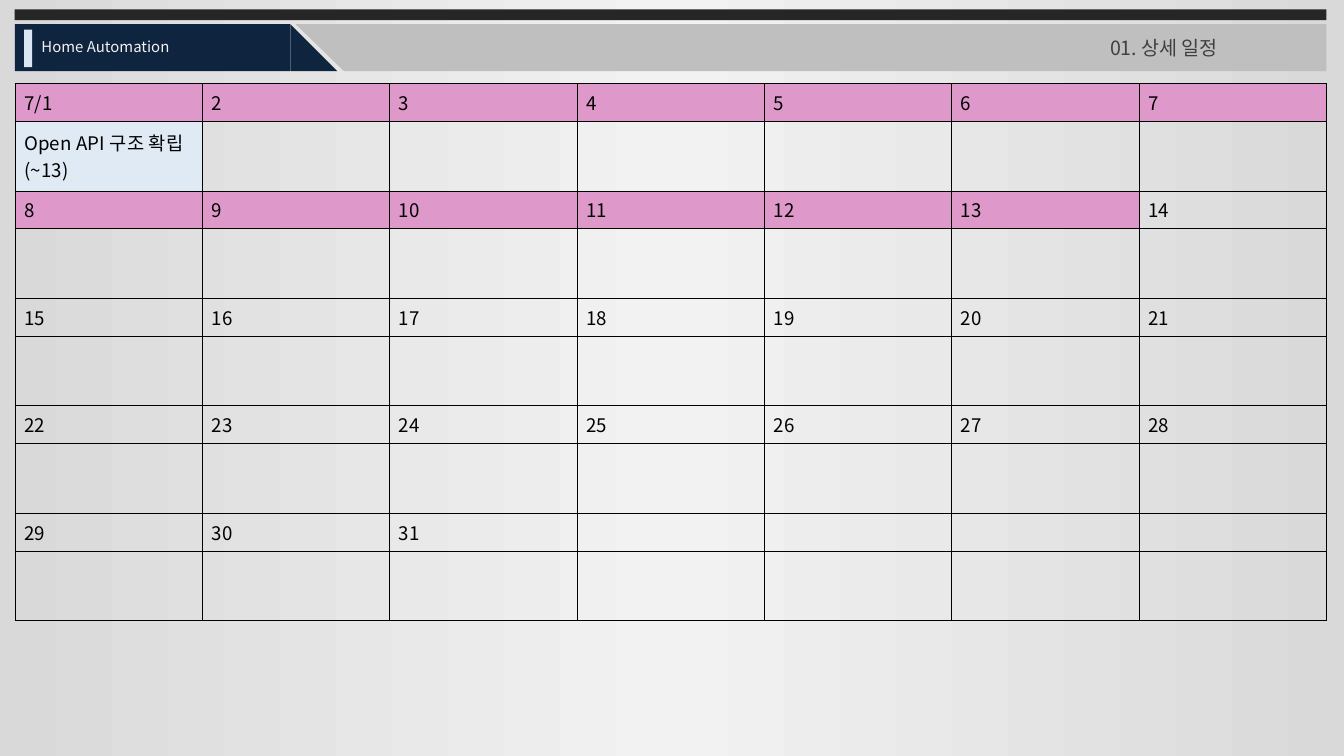
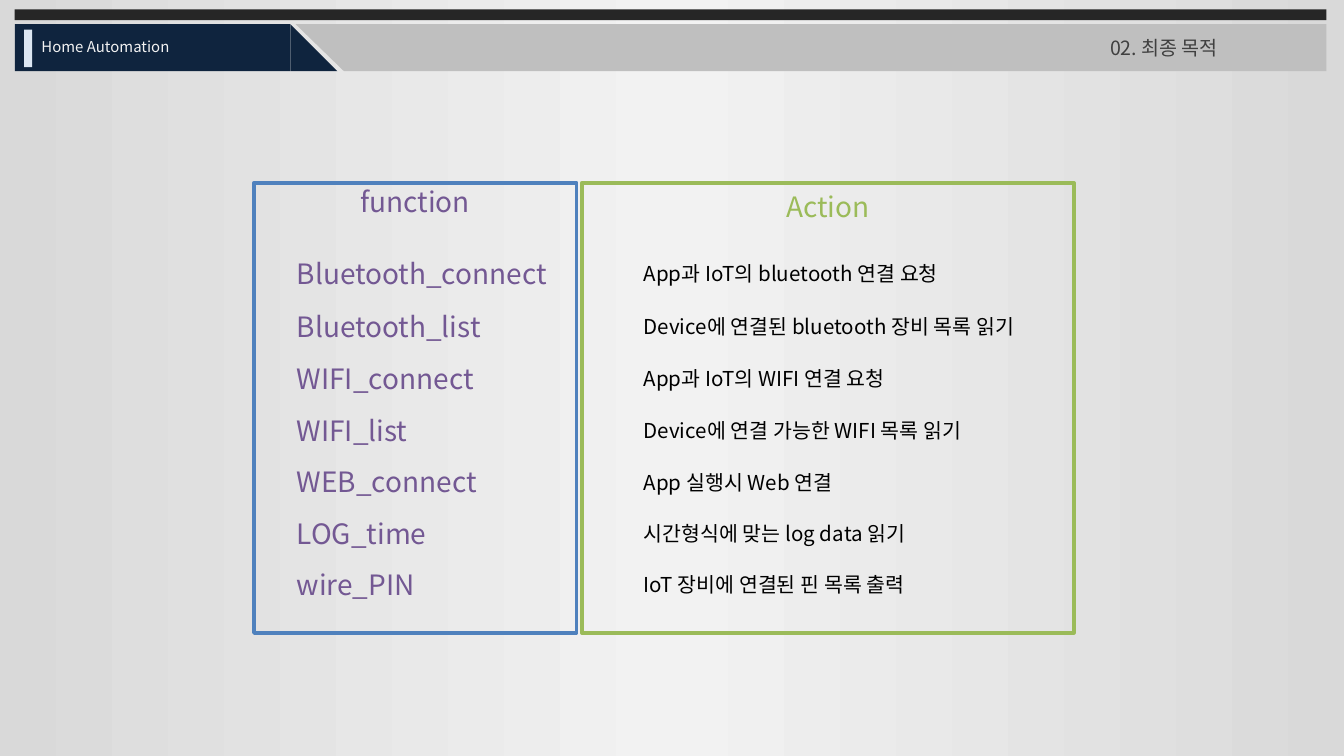
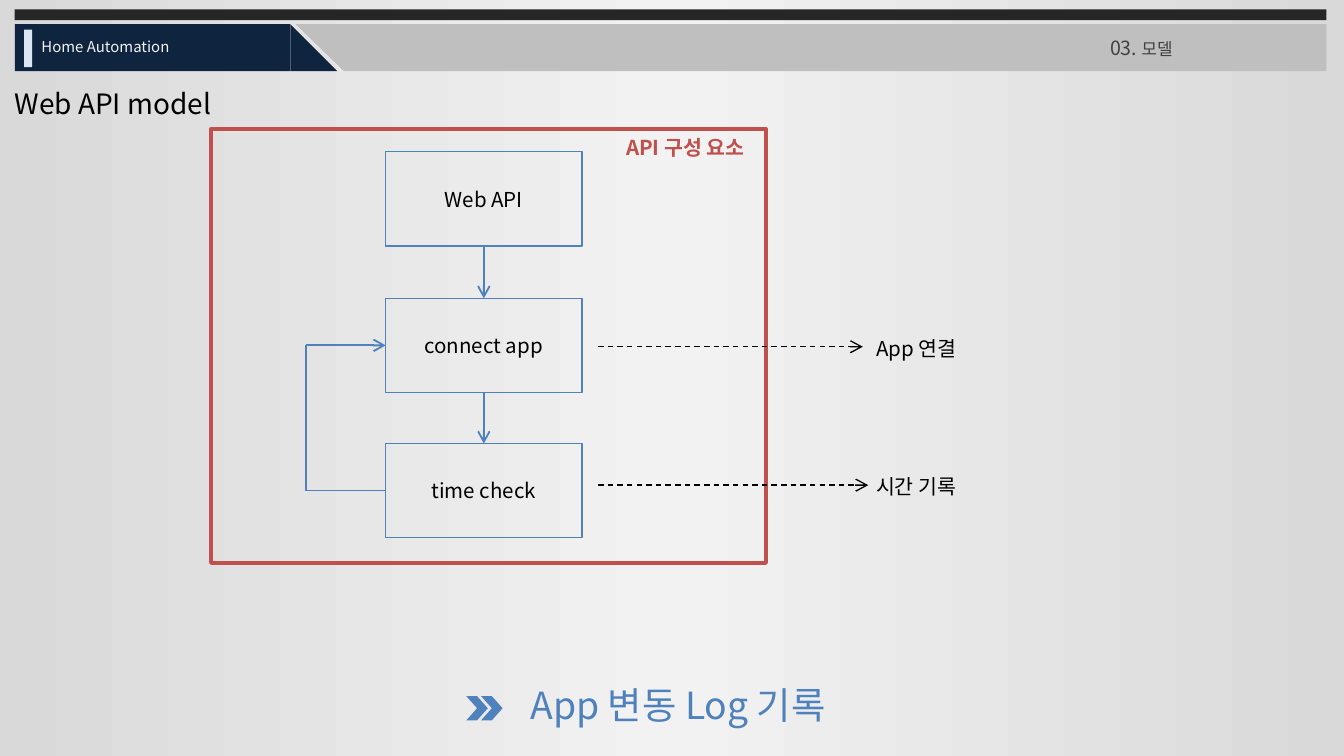
from typing import NamedTuple

from lxml import etree
from pptx import Presentation
from pptx import util as u
from pptx.dml.color import RGBColor
from pptx.enum import dml, shapes, text
from pptx.oxml.ns import qn

FONT = "Noto Sans CJK KR"
INK, NAVY, BLUE, GREEN = "000000", "0F243E", "4F81BD", "9BBB59"
RED, PURPLE, PINK, SKY = "C0504D", "735893", "DE99CA", "DFEAF5"
SILVER, EDGE, MIDDLE = "BFBFBF", "D9D9D9", "F2F2F2"
KIND = shapes.MSO_SHAPE
ALIGN = text.PP_ALIGN


class Box(NamedTuple):
    left: float
    top: float
    width: float
    height: float

    def inner(self, left, top, width, height):
        """Give a box placed from this box's top left corner."""
        return Box(self.left + left, self.top + top, width, height)

    def lengths(self):
        return [u.Inches(value) for value in self]


def color(code):
    return RGBColor.from_string(code)


def set_all(target, **values):
    for name, value in values.items():
        setattr(target, name, value)


def add_solid(parent, code, alpha=None):
    fill = etree.SubElement(parent, qn("a:solidFill"))
    tint = etree.SubElement(fill, qn("a:srgbClr"), val=code)
    if alpha is not None:
        etree.SubElement(tint, qn("a:alpha"), val=str(alpha * 1000))


def add_span(para, words, size, code, bold=None, outline=False):
    span = para.add_run()
    span.text = words
    set_all(span.font, name=FONT, size=u.Pt(size), bold=bold)
    span.font.color.rgb = color(code)
    props = span._r.get_or_add_rPr()
    etree.SubElement(props, qn("a:ea"), typeface=FONT)
    if outline:
        line = etree.Element(qn("a:ln"), w=str(u.Pt(0.75)))
        add_solid(line, code, alpha=10)
        props.insert(0, line)
    return span


def add_text(page, box, words, size, code, align=ALIGN.LEFT,
             anchor=text.MSO_ANCHOR.MIDDLE, grow=False, **look):
    frame = page.shapes.add_textbox(*box.lengths()).text_frame
    fit = text.MSO_AUTO_SIZE.SHAPE_TO_FIT_TEXT if grow else text.MSO_AUTO_SIZE.NONE
    set_all(frame, word_wrap=True, vertical_anchor=anchor, auto_size=fit)
    para = frame.paragraphs[0]
    para.alignment = align
    add_span(para, words, size, code, **look)


def add_shape(holder, box, kind=KIND.RECTANGLE, fill=None, line=None, width=1):
    shape = holder.shapes.add_shape(kind, *box.lengths())
    shape.shadow.inherit = False
    if fill:
        shape.fill.solid()
        shape.fill.fore_color.rgb = color(fill)
    else:
        shape.fill.background()
    if line:
        shape.line.color.rgb = color(line)
        shape.line.width = u.Pt(width)
    else:
        shape.line.fill.background()
    return shape


def add_line(page, start, end, code=BLUE, width=1, dash=None, arrow=False):
    """Draw a line; each end is a point, or a shape and the number of its side."""
    joins = [not isinstance(spot[0], (int, float)) for spot in (start, end)]
    points = [(0, 0) if join else [u.Inches(value) for value in spot]
              for spot, join in zip((start, end), joins)]
    link = page.shapes.add_connector(shapes.MSO_CONNECTOR.STRAIGHT, *points[0], *points[1])
    if joins[0]:
        link.begin_connect(*start)
    if joins[1]:
        link.end_connect(*end)
    link.line.color.rgb = color(code)
    set_all(link.line, width=u.Pt(width), dash_style=dash)
    if arrow:
        etree.SubElement(link.line._get_or_add_ln(), qn("a:tailEnd"), type="arrow")
    etree.SubElement(link._element.spPr, qn("a:effectLst"))


def set_background(master):
    fill = master.background.fill
    fill.gradient()
    fill.gradient_angle = 0
    stops = fill._fill._gradFill.find(qn("a:gsLst"))
    for stop in list(stops):
        stops.remove(stop)
    for place, code in ((0, EDGE), (50, MIDDLE), (100, EDGE)):
        stop = etree.SubElement(stops, qn("a:gs"), pos=str(place * 1000))
        etree.SubElement(stop, qn("a:srgbClr"), val=code)


def add_header(page, box, title):
    """Place the bands, the project name and the title, a list of (words, size)."""
    add_shape(page, box.inner(0, 0, box.width, 0.08), fill="262626")
    add_shape(page, box.inner(0, 0.11, 2.05, 0.35), fill=NAVY)
    add_shape(page, box.inner(2.05, 0.11, 0.35, 0.35), KIND.RIGHT_TRIANGLE, NAVY)
    band = page.shapes.add_group_shape()
    for kind, left, width in ((KIND.RECTANGLE, 2.45, box.width - 2.45),
                              (KIND.RIGHT_TRIANGLE, 2.09, 0.36)):
        part = add_shape(band, box.inner(left, 0.11, width, 0.35), kind, SILVER)
        for flip in ("flipH", "flipV"):
            part._element.spPr.xfrm.set(flip, "1")
    add_text(page, box.inner(0.1, 0.16, 1.5, 0.24), "Home Automation", 8, MIDDLE,
             anchor=text.MSO_ANCHOR.TOP, grow=True, outline=True)
    add_shape(page, box.inner(0.07, 0.15, 0.06, 0.28), fill="DCE6F2")

    heading = page.shapes.title
    page.shapes._spTree.append(heading._element)  # in front of the bands
    left, top, width, height = box.inner(8.05, 0.15, 1.84, 0.28).lengths()
    set_all(heading, left=left, top=top, width=width, height=height)
    set_all(heading.text_frame, word_wrap=True, vertical_anchor=text.MSO_ANCHOR.TOP,
            auto_size=text.MSO_AUTO_SIZE.SHAPE_TO_FIT_TEXT)
    para = heading.text_frame.paragraphs[0]
    para.alignment = ALIGN.LEFT
    for words, size in title:
        add_span(para, words, size, "404040", outline=True)


def format_cell(cell, lines, fill):
    set_all(cell, vertical_anchor=text.MSO_ANCHOR.MIDDLE,
            margin_left=u.Inches(0.07), margin_right=u.Inches(0.07),
            margin_top=u.Inches(0.02), margin_bottom=u.Inches(0.02))
    if fill:
        cell.fill.solid()
        cell.fill.fore_color.rgb = color(fill)
    else:
        cell.fill.background()
    props = cell._tc.get_or_add_tcPr()
    for index, side in enumerate(("lnL", "lnR", "lnT", "lnB")):
        border = etree.Element(qn(f"a:{side}"), w=str(u.Pt(0.28)))
        add_solid(border, INK)
        props.insert(index, border)
    frame = cell.text_frame
    for index, words in enumerate(lines):
        para = frame.add_paragraph() if index else frame.paragraphs[0]
        para.alignment = ALIGN.JUSTIFY
        add_span(para, words, 10, INK)._r.get_or_add_rPr().set("spc", "10")
    if not lines:
        etree.SubElement(frame.paragraphs[0]._p, qn("a:endParaRPr"), sz="1000")


def add_calendar(page, box, days, busy_until, tasks):
    """Fill weeks of a date row and a task row; tasks maps a day to its lines."""
    weeks = -(-days // 7)
    table = page.shapes.add_table(2 * weeks, 7, *box.lengths()).table
    set_all(table, first_row=False, horz_banding=False)
    for column in table.columns:
        column.width = u.Inches(box.width / 7)
    for index, row in enumerate(table.rows):
        row.height = u.Inches(0.52 if index % 2 else 0.28)
    for slot in range(7 * weeks):
        week, weekday = divmod(slot, 7)
        day = slot + 1
        label = "7/1" if day == 1 else str(day)
        format_cell(table.cell(2 * week, weekday), [label] if day <= days else [],
                    PINK if day <= busy_until else None)
        format_cell(table.cell(2 * week + 1, weekday), tasks.get(day, []),
                    SKY if day in tasks else None)


def add_function_list(page, box, rows):
    """Place two framed columns, function names and what each one does."""
    for index, (name, action) in enumerate(rows):
        top = 0.5 + 0.39 * index - 0.01 * max(index - 3, 0)
        add_text(page, box.inner(0.22, top, 2.32, 0.35), name, 15, PURPLE, grow=True)
        add_text(page, box.inner(2.8, top + 0.03, 3.27, 0.29), action, 11, INK, grow=True)
    for heading, left, width, rise, frame, code in (
            ("function", 0, 2.4, 0.04, BLUE, PURPLE),
            ("Action", 2.44, 3.66, 0, GREEN, GREEN)):
        add_shape(page, box.inner(left, 0, width, box.height), line=frame, width=2)
        add_text(page, box.inner(left, -rise, width, 0.35), heading, 15, code,
                 ALIGN.CENTER, grow=True)


def add_model(page, box):
    """Draw the framed steps, their loop and the results to the right."""
    steps = []
    for words, top in (("Web API", 0.17), ("connect app", 1.26), ("time check", 2.34)):
        step = add_shape(page, box.inner(1.3, top, 1.46, 0.7), line=BLUE, width=0.75)
        para = step.text_frame.paragraphs[0]
        para.alignment = ALIGN.CENTER
        add_span(para, words, 11, INK)
        steps.append(step)
    for upper, lower in zip(steps, steps[1:]):
        add_line(page, (upper, 2), (lower, 0), arrow=True)

    add_shape(page, box, line=RED, width=2)
    add_text(page, box.inner(2.92, 0, 1.22, 0.27), "API 구성 요소", 11, RED,
             ALIGN.CENTER, bold=True)
    for words, top, reach in (("App 연결", 1.62, 4.85), ("시간 기록", 2.65, 4.89)):
        y = box.top + top
        add_line(page, (box.left + 2.88, y), (box.left + reach, y), INK, 0.75,
                 dml.MSO_LINE.DASH, arrow=True)
        add_text(page, box.inner(4.85, top - 0.24, 0.94, 0.5), words, 11, INK)

    connect, check = steps[1:]
    turn = box.left + 0.71
    low, high = ((step.top + step.height / 2) / u.Inches(1) for step in (check, connect))
    add_line(page, (turn, low), (check, 1))
    add_line(page, (turn, low), (turn, high))
    add_line(page, (turn, high), (connect, 1), arrow=True)


def add_conclusion(page, box, words):
    marks = page.shapes.add_group_shape()
    for left in (0.23, 0.12):
        add_shape(marks, box.inner(left, 0.06, 0.16, 0.18), KIND.CHEVRON, BLUE)
    add_text(page, box, words, 20, BLUE, ALIGN.CENTER)


def main():
    deck = Presentation()
    set_all(deck, slide_width=u.Inches(10), slide_height=u.Inches(10 * 9 / 16))
    set_background(deck.slide_master)

    def add_page(*title):
        page = deck.slides.add_slide(deck.slide_layouts[5])
        add_header(page, Box(0.11, 0.07, 9.76, 0.46), title)
        return page

    page = add_page(("01. 상세 일정", 10.5))
    add_calendar(page, Box(0.11, 0.62, 9.76, 4), 31, 13,
                 {1: ["Open API 구조 확립", "(~13)"]})

    page = add_page(("02. 최종 목적", 10.5))
    add_function_list(page, Box(1.89, 1.36, 6.1, 3.35), (
        ("Bluetooth_connect", "App과 IoT의 bluetooth 연결 요청"),
        ("Bluetooth_list", "Device에 연결된 bluetooth 장비 목록 읽기"),
        ("WIFI_connect", "App과 IoT의 WIFI 연결 요청"),
        ("WIFI_list", "Device에 연결 가능한 WIFI 목록 읽기"),
        ("WEB_connect", "App 실행시 Web 연결"),
        ("LOG_time", "시간형식에 맞는 log data 읽기"),
        ("wire_PIN", "IoT 장비에 연결된 핀 목록 출력")))

    page = add_page(("03. ", 10.5), ("모델", 9))
    add_model(page, Box(1.57, 0.96, 4.13, 3.23))
    add_conclusion(page, Box(3.35, 5.12, 3.39, 0.25), "App 변동 Log 기록")
    add_text(page, Box(0.01, 0.59, 3.97, 0.35), "Web API model", 15, INK)

    deck.save("out.pptx")


if __name__ == "__main__":
    main()
